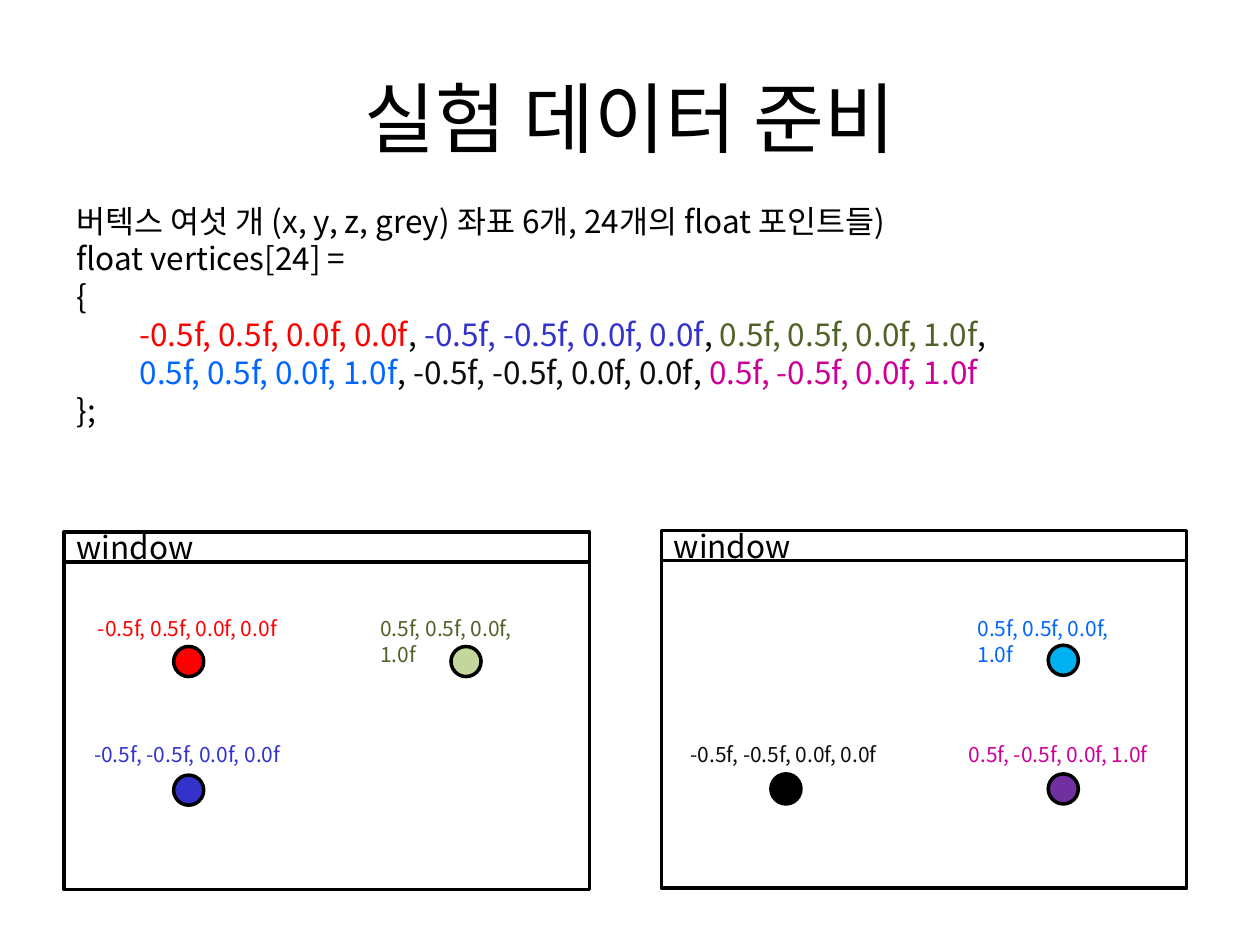
"""Build the slide on six vertices shown in two windows."""
from pptx import Presentation
from pptx.dml.color import RGBColor
from pptx.enum import shapes, text
from pptx.util import Pt

FONT = "Noto Sans CJK KR"
BLACK = RGBColor(0, 0, 0)
WHITE = RGBColor(255, 255, 255)
RED = RGBColor(255, 0, 0)
BLUE = RGBColor(0x33, 0x33, 0xCC)
GREEN = RGBColor(0x4F, 0x62, 0x28)
LIME = RGBColor(0xC3, 0xD6, 0x9B)
AZURE = RGBColor(0, 0x66, 0xFF)
SKY = RGBColor(0, 0xB0, 0xF0)
INK = RGBColor(0x0D, 0x0D, 0x0D)
PINK = RGBColor(0xCC, 0, 0x99)
PURPLE = RGBColor(0x70, 0x30, 0xA0)
LEFT, MID, CENTER = text.PP_ALIGN.LEFT, text.MSO_ANCHOR.MIDDLE, text.PP_ALIGN.CENTER
TOP = text.MSO_ANCHOR.TOP
RECT, OVAL = shapes.MSO_SHAPE.RECTANGLE, shapes.MSO_SHAPE.OVAL

deck = Presentation()
deck.slide_width, deck.slide_height = Pt(720), Pt(540)
slide = deck.slides.add_slide(deck.slide_layouts[6])


def draw(kind, box, fill):
    shape = slide.shapes.add_shape(kind, *map(Pt, box))
    shape.shadow.inherit = False
    shape.fill.solid()
    shape.fill.fore_color.rgb = fill
    shape.line.color.rgb = BLACK
    shape.line.width = Pt(2)
    return shape


def write(shape, lines, size, align=LEFT, anchor=TOP, wrap=True):
    frame = shape.text_frame
    for key, value in {"word_wrap": wrap, "vertical_anchor": anchor}.items():
        setattr(frame, key, value)
    for i, line in enumerate(lines):
        para = frame.add_paragraph() if i else frame.paragraphs[0]
        para.alignment = align
        for words, color in line:
            run = para.add_run()
            run.text = words
            for key, value in {"name": FONT, "size": Pt(size)}.items():
                setattr(run.font, key, value)
            run.font.color.rgb = color


# label, text colour, dot fill, dot x, dot y, label x, label width
wins = [
    [("-0.5f, 0.5f, 0.0f, 0.0f", RED, RED, 62.5, 65.5, 12.2, 117.4),
     ("-0.5f, -0.5f, 0.0f, 0.0f", BLUE, BLUE, 62.5, 139, 10, 121.7),
     ("0.5f, 0.5f, 0.0f, 1.0f", GREEN, LIME, 221, 65.5, 173.5, 112.3)],
    [("0.5f, 0.5f, 0.0f, 1.0f", AZURE, SKY, 221, 65.5, 173.5, 112.3),
     ("-0.5f, -0.5f, 0.0f, 0.0f", INK, BLACK, 62.5, 139, 9.5, 121.7),
     ("0.5f, -0.5f, 0.0f, 1.0f", PINK, PURPLE, 221, 139, 168.5, 121.7)],
]

title = slide.shapes.add_textbox(Pt(36), Pt(21.6), Pt(648), Pt(90))
write(title, [[("실험 데이터 준비", BLACK)]], 44, CENTER, MID)

rows = []
for win, end in zip(wins, (",", "")):
    row = [("\t", BLACK)]
    for i, (label, color, *rest) in enumerate(win):
        row += [(label, color), (", " if i < 2 else end, BLACK)]
    rows.append([part for part in row if part[0]])
code = slide.shapes.add_textbox(Pt(36.7), Pt(111.6), Pt(640.8), Pt(138.2))
write(code, [
    [("버텍스 여섯 개 (x, y, z, grey) 좌표 6개, 24개의 float 포인트들)", BLACK)],
    [("float vertices[24] =", BLACK)],
    [("{", BLACK)],
    *rows,
    [("};", BLACK)],
], 18)

for win, x, y in zip(wins, (36.7, 378), (303.9, 303.2)):
    draw(RECT, (x, y + 17.2, 300.2, 187.2), WHITE)
    bar = draw(RECT, (x, y, 300.2, 17.2), WHITE)
    write(bar, [[("window", BLACK)]], 18, anchor=MID)
    for label, color, fill, dx, dy, tx, wide in win:
        draw(OVAL, (x + dx, y + dy, 17.2, 17.2), fill)
        high = 348.5 if dy < 100 else 420.5
        note = slide.shapes.add_textbox(Pt(x + tx), Pt(high), Pt(wide), Pt(21.6))
        write(note, [[(label, color)]], 12, wrap=wide < 115)

deck.save("out.pptx")
